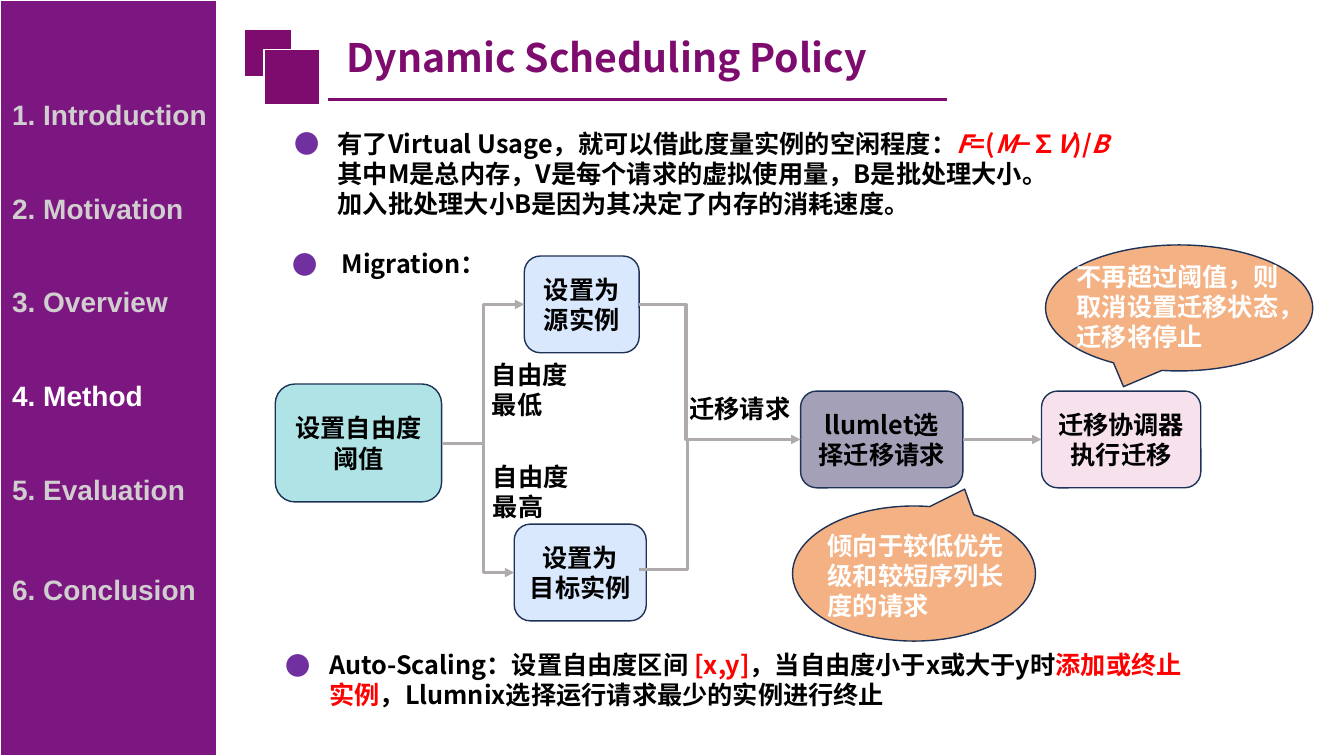
from lxml.etree import SubElement
from pptx import Presentation
from pptx.dml.color import RGBColor
from pptx.enum.shapes import MSO_CONNECTOR as Link, MSO_SHAPE as Shape
from pptx.enum.text import MSO_ANCHOR as Anchor, MSO_AUTO_SIZE as AutoSize, PP_ALIGN as Align
from pptx.oxml.ns import qn
from pptx.util import Inches, Pt

COLORS = {
    "plum": "7E0C6E", "sidebar": "7C1781", "muted": "D0CECE", "white": "FFFFFF",
    "black": "000000", "red": "FF0000", "bullet": "7030A0", "outline": "1E3256",
    "arrow": "AFABAB", "teal": "AFE3E6", "blue": "D9E8FC", "gray": "A4A0B7",
    "pink": "F7E1ED", "orange": "F4B183",
}
CJK = "Noto Sans CJK SC"


def rgb(name):
    return RGBColor.from_string(COLORS[name])


class SlideBuilder:
    def __init__(self, slide):
        self.slide = slide
        self.shapes = slide.shapes

    def style(self, para, color="black", size=18, font=CJK, align=Align.LEFT, leading=21.5):
        para.alignment = align
        para.space_before = Pt(0)
        if leading:
            para.line_spacing = Pt(leading)
        para.font.size, para.font.bold, para.font.name = Pt(size), True, font
        para.font.color.rgb = rgb(color)
        defaults = para._p.pPr.find(qn("a:defRPr"))
        SubElement(defaults, qn("a:ea")).set("typeface", CJK)

    def place(self, box, left, top, width, height):
        box.left, box.top = Inches(left), Inches(top)
        box.width, box.height = Inches(width), Inches(height)

    def title(self, text, *area):
        box = self.shapes.title
        self.place(box, *area)
        frame = box.text_frame
        frame.text = text
        frame.auto_size, frame.word_wrap = AutoSize.NONE, False
        frame.vertical_anchor = Anchor.MIDDLE
        frame.margin_left = frame.margin_right = Inches(0.07)
        frame.margin_top = frame.margin_bottom = Inches(0.04)
        self.style(frame.paragraphs[0], "plum", 28, leading=None)

    def shape(self, kind, area, fill, line="outline", text="", rotation=0):
        box = self.shapes.add_shape(kind, *map(Inches, area))
        box.shadow.inherit = False
        box.fill.solid()
        box.fill.fore_color.rgb = rgb(fill)
        box.line.color.rgb = rgb(line)
        box.line.width = Pt(1)
        box.rotation = rotation
        if text:
            box.text_frame.text = text
            box.text_frame.vertical_anchor = Anchor.MIDDLE
            for para in box.text_frame.paragraphs:
                self.style(para, align=Align.CENTER)

    def label(self, text, area, color="black", font=CJK):
        frame = self.shapes.add_textbox(*map(Inches, area)).text_frame
        frame.word_wrap = True
        frame.text = text
        self.style(frame.paragraphs[0], color, font=font)

    def bullet_item(self, box, area, indent, lines):
        """Each line is a list of (text, color, italic); the first has the bullet."""
        self.place(box, *area)
        frame = box.text_frame
        frame.word_wrap, frame.auto_size = True, AutoSize.NONE
        frame.vertical_anchor = Anchor.TOP
        for index, spans in enumerate(lines):
            para = frame.add_paragraph() if index else frame.paragraphs[0]
            props = para._p.get_or_add_pPr()
            props.set("marL", str(Inches(indent)))
            props.set("indent", str(0 if index else -Inches(indent)))
            if index:
                SubElement(props, qn("a:buNone"))
            else:
                tint = SubElement(props, qn("a:buClr"))
                SubElement(tint, qn("a:srgbClr")).set("val", COLORS["bullet"])
                SubElement(props, qn("a:buFont")).set("typeface", CJK)
                SubElement(props, qn("a:buChar")).set("char", "●")
            self.style(para)
            for text, color, italic in spans:
                span = para.add_run()
                span.text = text
                if color != "black":
                    span.font.color.rgb = rgb(color)
                if italic:
                    span.font.italic = True

    def text_box(self):
        return self.shapes.add_textbox(0, 0, 0, 0)

    def connector(self, start, end, color="arrow", bend=None, arrow=True):
        kind = Link.STRAIGHT if bend is None else Link.ELBOW
        link = self.shapes.add_connector(kind, *map(Inches, start + end))
        link.line.color.rgb = rgb(color)
        link.line.width = Pt(2.25)
        props = link._element.spPr
        if arrow:
            SubElement(props.find(qn("a:ln")), qn("a:tailEnd")).set("type", "triangle")
        SubElement(props, qn("a:effectLst"))
        if bend is not None:
            guide = SubElement(props.find(qn("a:prstGeom")).find(qn("a:avLst")), qn("a:gd"))
            guide.set("name", "adj1")
            guide.set("fmla", f"val {round(bend * 100000)}")

    def sidebar(self, sections, current, width, height):
        table = self.shapes.add_table(1, 1, 0, 0, Inches(width), Inches(height)).table
        cell = table.cell(0, 0)
        cell.fill.solid()
        cell.fill.fore_color.rgb = rgb("sidebar")
        cell.margin_left, cell.margin_top = Inches(0.12), Inches(0.99)
        cell.margin_right = cell.margin_bottom = 0
        cell.text = "\n".join(f"{n}. {name}" for n, name in enumerate(sections, 1))
        paras = cell.text_frame.paragraphs
        for name, para in zip(sections, paras):
            color = "white" if name == current else "muted"
            self.style(para, color, 20, "Arial", leading=None)
            if para is not paras[0]:
                para.space_before = Pt(49 if name == sections[-1] else 44.8)


def main():
    deck = Presentation()
    deck.slide_width, deck.slide_height = Inches(13.33), Inches(7.5)
    page = SlideBuilder(deck.slides.add_slide(deck.slide_layouts[1]))

    # Header
    page.shape(Shape.RECTANGLE, (2.42, 0.29, 0.47, 0.47), "plum", "white")
    page.shape(Shape.RECTANGLE, (2.62, 0.49, 0.55, 0.55), "plum", "white")
    page.connector((3.25, 0.99), (9.39, 0.99), "plum", arrow=False)
    page.title("Dynamic Scheduling Policy", 3.37, 0.29, 5.46, 0.55)

    # Section sidebar
    sections = ["Introduction", "Motivation", "Overview", "Method", "Evaluation", "Conclusion"]
    page.sidebar(sections, "Method", 2.15, 7.5)

    # Bullet items
    formula = [("F", True), ("=(", False), ("M", True), ("−∑", False),
               ("V", True), (")/", False), ("B", True)]
    page.bullet_item(page.slide.placeholders[1], (2.82, 1.22, 8.76, 1.31), 0.43, [
        [("有了Virtual Usage，就可以借此度量实例的空闲程度：", "black", False)]
        + [(text, "red", italic) for text, italic in formula],
        [("其中M是总内存，V是每个请求的虚拟使用量，B是批处理大小。", "black", False)],
        [("加入批处理大小B是因为其决定了内存的消耗速度。", "black", False)],
    ])
    page.bullet_item(page.text_box(), (2.8, 2.42, 2.17, 0.71), 0.49,
                     [[("Migration：", "black", False)]])
    page.bullet_item(page.text_box(), (2.73, 6.39, 9.3, 0.71), 0.44, [[
        ("Auto-Scaling：设置自由度区间 ", "black", False),
        ("[x,y]", "red", False),
        ("，当自由度小于x或大于y时", "black", False),
        ("添加或终止实例", "red", False),
        ("，Llumnix选择运行请求最少的实例进行终止", "black", False),
    ]])

    # Migration steps
    for text, fill, area in [
        ("设置自由度阈值", "teal", (2.73, 3.81, 1.65, 1.17)),
        ("设置为源实例", "blue", (5.2, 2.54, 1.14, 0.96)),
        ("设置为\n目标实例", "blue", (5.1, 5.2, 1.31, 0.96)),
        ("llumlet选择迁移请求", "gray", (7.94, 3.88, 1.61, 0.96)),
        ("迁移协调器执行迁移", "pink", (10.33, 3.88, 1.58, 0.96)),
    ]:
        page.shape(Shape.ROUNDED_RECTANGLE, area, fill, text=text)

    # Flow between the steps
    page.connector((4.39, 4.4), (5.2, 3.02), bend=0.5)
    page.connector((4.39, 4.4), (5.1, 5.68), bend=0.57)
    page.connector((6.34, 3.02), (7.94, 4.36), bend=0.29)
    page.connector((6.34, 5.65), (6.82, 4.36), bend=1, arrow=False)
    page.connector((9.55, 4.36), (10.33, 4.36))
    page.label("自由度最低", (4.78, 3.52, 1.14, 0.71))
    page.label("自由度最高", (4.79, 4.53, 1.14, 0.71))
    page.label("迁移请求", (6.74, 3.85, 1.31, 0.4))

    # Callouts
    page.shape(Shape.OVAL_CALLOUT, (7.86, 5.02, 2.41, 1.34), "orange", rotation=180)
    page.shape(Shape.OVAL_CALLOUT, (10.37, 2.43, 2.65, 1.25), "orange")
    page.label("倾向于较低优先级和较短序列长度的请求", (8.11, 5.21, 2.11, 1.01), "white")
    page.label("不再超过阈值，则取消设置迁移状态，迁移将停止",
               (10.58, 2.54, 2.27, 1.01), "white", "Lato")

    deck.save("out.pptx")


if __name__ == "__main__":
    main()
